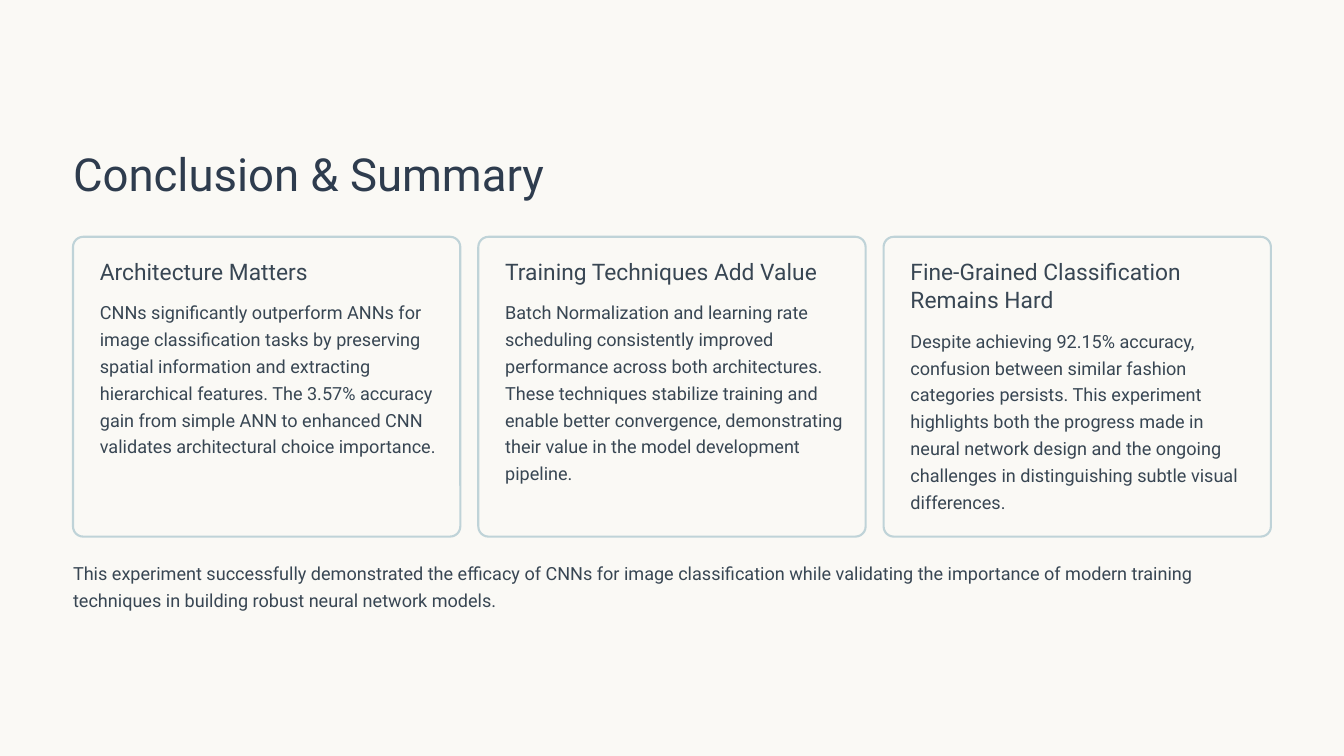
"""Build the Conclusion & Summary slide with three takeaway cards."""
from pptx import Presentation
from pptx.dml.color import RGBColor
from pptx.enum.shapes import MSO_SHAPE
from pptx.util import Pt

TITLE = "Conclusion & Summary"
CARDS = [
    ("Architecture Matters", 1,
     "CNNs significantly outperform ANNs for image classification tasks by preserving "
     "spatial information and extracting hierarchical features. The 3.57% accuracy gain "
     "from simple ANN to enhanced CNN validates architectural choice importance."),
    ("Training Techniques Add Value", 1,
     "Batch Normalization and learning rate scheduling consistently improved performance "
     "across both architectures. These techniques stabilize training and enable better "
     "convergence, demonstrating their value in the model development pipeline."),
    ("Fine-Grained Classification Remains Hard", 2,
     "Despite achieving 92.15% accuracy, confusion between similar fashion categories "
     "persists. This experiment highlights both the progress made in neural network design "
     "and the ongoing challenges in distinguishing subtle visual differences."),
]
CLOSING = (
    "This experiment successfully demonstrated the efficacy of CNNs for image classification "
    "while validating the importance of modern training techniques in building robust neural "
    "network models.")

ROUNDED = MSO_SHAPE.ROUNDED_RECTANGLE
CREAM = RGBColor(0xFA, 0xF9, 0xF5)
NAVY = RGBColor(0x2E, 0x3C, 0x4E)
SLATE = RGBColor(0x38, 0x46, 0x53)
PALE_BLUE = RGBColor(0xBF, 0xD3, 0xD8)

SLIDE_WIDTH, SLIDE_HEIGHT = 1152, 648
MARGIN = 62.6
CONTENT_WIDTH = SLIDE_WIDTH - 2 * MARGIN
CARD_TOP, CARD_HEIGHT, CARD_GAP = 203, 257, 15.4
CARD_WIDTH = (CONTENT_WIDTH - CARD_GAP * (len(CARDS) - 1)) / len(CARDS)
INSET, HEADING_TOP = 23, 220.3
HEADING_LINE, HEADING_GAP = 24.4, 9.5


def add_text(slide, text, left, top, width, height, size=15.5, spacing=23,
             color=SLATE, wrap=True):
    box = slide.shapes.add_textbox(Pt(left), Pt(top), Pt(width), Pt(height))
    frame = box.text_frame
    frame.margin_left = frame.margin_right = frame.margin_top = frame.margin_bottom = 0
    frame.word_wrap = wrap
    paragraph = frame.paragraphs[0]
    paragraph.text = text
    paragraph.line_spacing = Pt(spacing)
    font = paragraph.runs[0].font
    font.name, font.size = "Roboto", Pt(size)
    font.color.rgb = color


def add_card(slide, left, heading, heading_lines, body):
    card = slide.shapes.add_shape(
        ROUNDED, Pt(left), Pt(CARD_TOP), Pt(CARD_WIDTH), Pt(CARD_HEIGHT))
    card.adjustments[0] = 0.034
    card.shadow.inherit = False
    card.fill.solid()
    card.fill.fore_color.rgb = CREAM
    card.line.color.rgb = PALE_BLUE
    card.line.width = Pt(1.8)
    text_left, text_width = left + INSET, 291.6
    heading_height = HEADING_LINE * heading_lines
    body_top = HEADING_TOP + heading_height + HEADING_GAP
    add_text(slide, heading, text_left, HEADING_TOP, text_width, heading_height,
             size=19.5, spacing=24, wrap=heading_lines > 1)
    add_text(slide, body, text_left, body_top, text_width, 164)


def main():
    presentation = Presentation()
    presentation.slide_width, presentation.slide_height = Pt(SLIDE_WIDTH), Pt(SLIDE_HEIGHT)
    slide = presentation.slides.add_slide(presentation.slide_layouts[6])
    slide.background.fill.solid()
    slide.background.fill.fore_color.rgb = CREAM
    add_text(slide, TITLE, MARGIN, 123.1, 420, 49, size=39, spacing=48.5,
             color=NAVY, wrap=False)
    for index, card in enumerate(CARDS):
        add_card(slide, MARGIN + index * (CARD_WIDTH + CARD_GAP), *card)
    add_text(slide, CLOSING, MARGIN, 478.1, CONTENT_WIDTH, 47)
    presentation.save("out.pptx")


if __name__ == "__main__":
    main()
